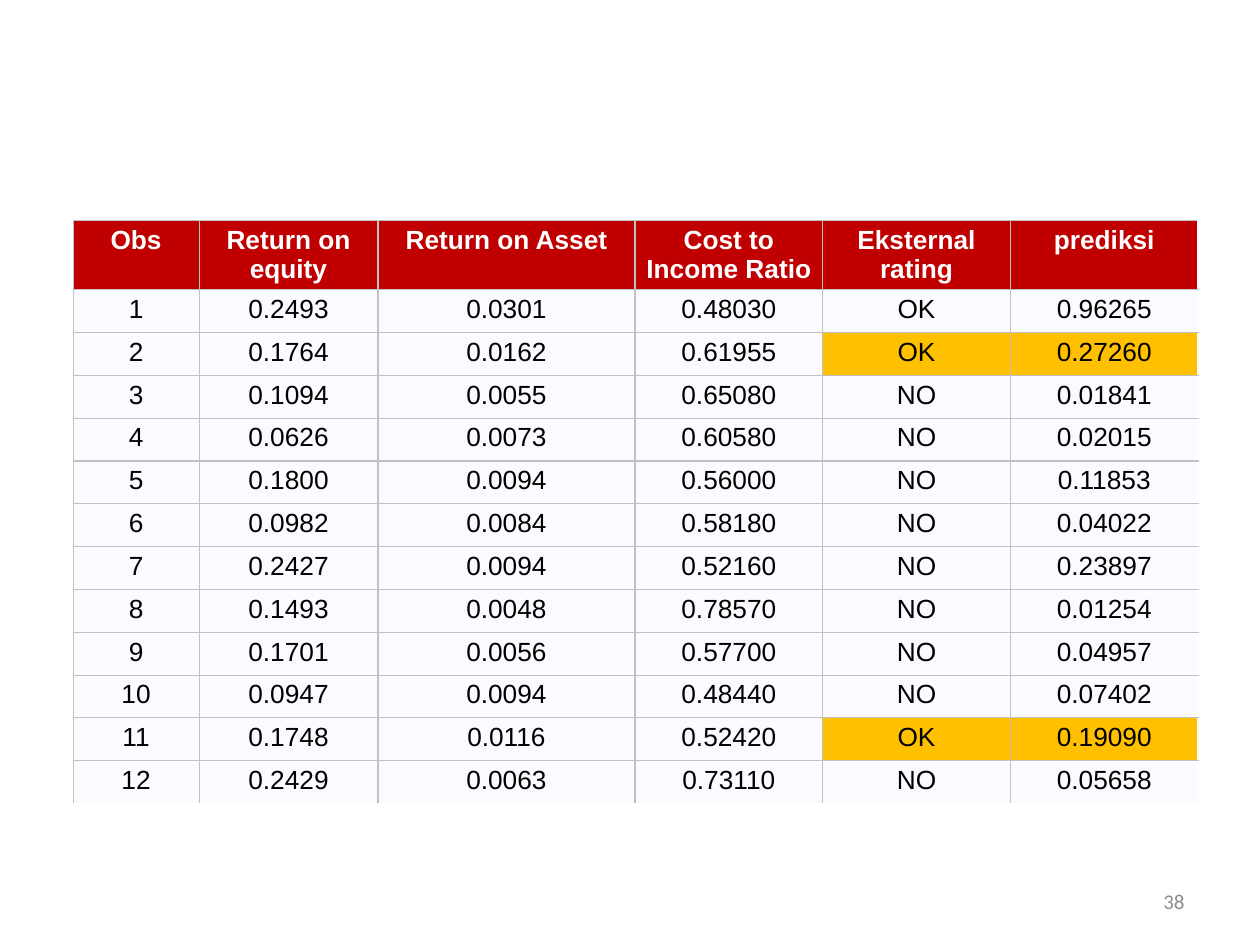
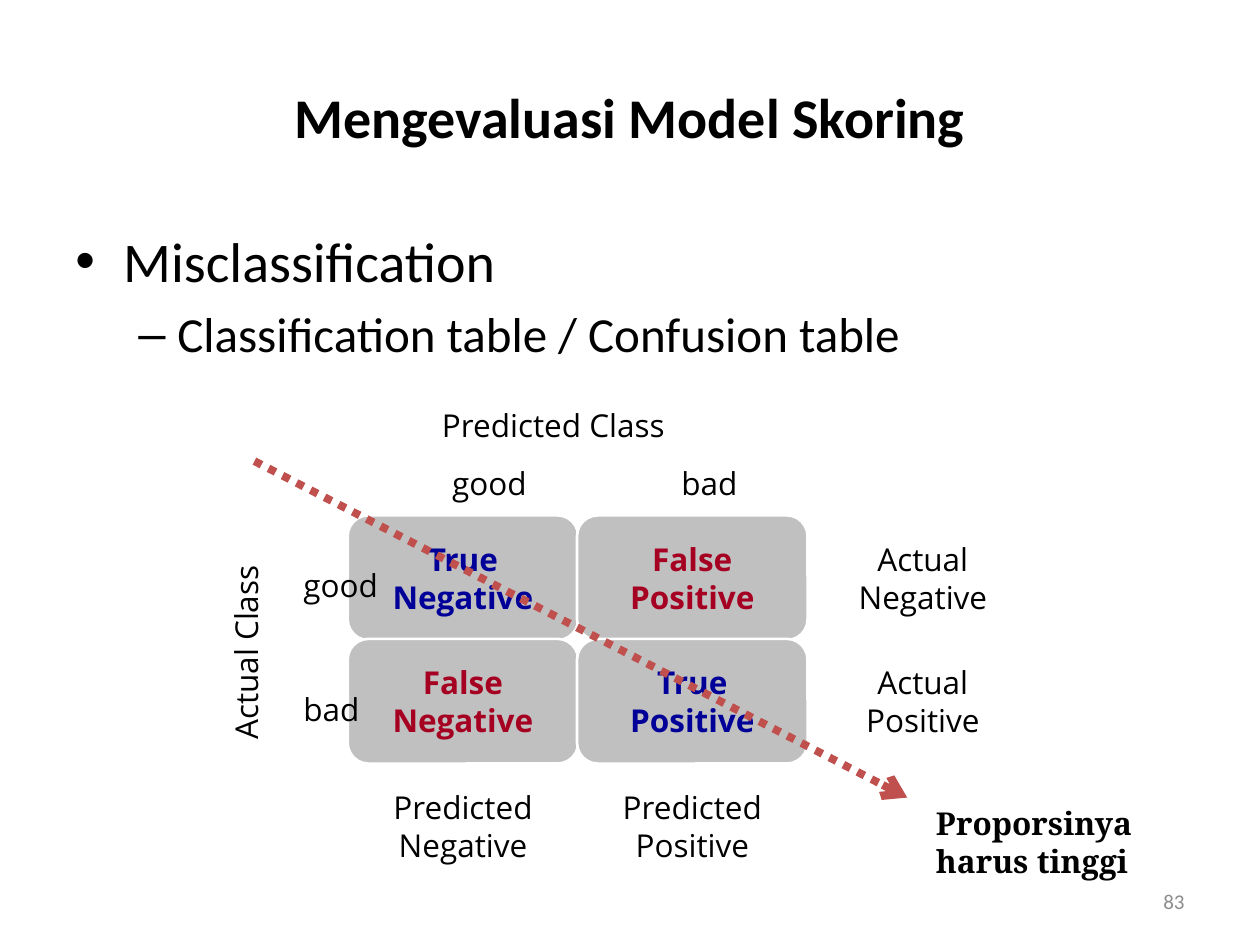
"""Builds two slides on judging a credit scoring model."""
from itertools import product

from lxml import etree
from pptx import Presentation
from pptx import util as u
from pptx.dml.color import RGBColor
from pptx.enum import dml, shapes, text
from pptx.oxml import ns

BLACK = RGBColor(0, 0, 0)
WHITE = RGBColor(255, 255, 255)
RED = RGBColor(0xC0, 0, 0)
PALE = RGBColor(0xFA, 0xFB, 0xFE)
GOLD = RGBColor(0xFF, 0xC0, 0)
EDGE = RGBColor(0xC1, 0xC1, 0xC1)
GREY = RGBColor(0xC0, 0xC0, 0xC0)
DIM = RGBColor(0x8C, 0x8C, 0x8C)
BLUE = RGBColor(0, 0, 0x99)
WINE = RGBColor(0xA5, 0, 0x21)
BRICK = RGBColor(0xC0, 0x50, 0x4D)
LEFT, MID, RIGHT = text.PP_ALIGN.LEFT, text.PP_ALIGN.CENTER, text.PP_ALIGN.RIGHT


def sub(node, tag, **attrs):
    return etree.SubElement(node, ns.qn(tag), **attrs)


class Deck:
    def __init__(self):
        self.prs = Presentation()
        self.prs.slide_width, self.prs.slide_height = u.Inches(10), u.Inches(7.5)

    def page(self, num):
        self.slide = self.prs.slides.add_slide(self.prs.slide_layouts[6])
        self.label(str(num), 7.17, 6.95, 2.33, 0.4, size=12, color=DIM,
                   font="Calibri", align=RIGHT, center=True)

    def style(self, par, size, color, font, bold, align):
        par.alignment = align
        for run in par.runs:
            run.font.size, run.font.name, run.font.bold = u.Pt(size), font, bold
            run.font.color.rgb = color

    def put(self, shape, words, size=18, color=BLACK, font="Open Sans", bold=False,
            align=LEFT, center=False, wrap=True, grow=False):
        frame = shape.text_frame
        frame.text = words
        frame.word_wrap = wrap
        frame.vertical_anchor = text.MSO_ANCHOR.MIDDLE if center else text.MSO_ANCHOR.TOP
        fit = text.MSO_AUTO_SIZE
        frame.auto_size = fit.SHAPE_TO_FIT_TEXT if grow else fit.NONE
        for par in frame.paragraphs:
            self.style(par, size, color, font, bold, align)
        return shape

    def label(self, words, x, y, w, h, **look):
        box = self.slide.shapes.add_textbox(*map(u.Inches, (x, y, w, h)))
        return self.put(box, words, **look)

    def tag(self, words, x, y, w):
        return self.label(words, x, y, w, 0.4, wrap=False, grow=True)

    def title(self, words):
        self.label(words, 0.5, 0.3, 9, 1.25, size=32, font="Calibri", bold=True,
                   align=MID, center=True)

    def body(self, items):
        box = self.label("\n".join(item[0] for item in items), 0.5, 1.75, 9, 4.95)
        for par, (words, size, mark, left, hang) in zip(box.text_frame.paragraphs, items):
            self.style(par, size, BLACK, "Calibri", False, LEFT)
            par.space_before = u.Pt(size * 0.2)
            props = par._p.get_or_add_pPr()
            props.set("marL", str(u.Inches(left)))
            props.set("indent", str(-u.Inches(hang)))
            sub(props, "a:buFont", typeface="Arial")
            sub(props, "a:buChar", char=mark)

    def tile(self, words, x, y, w, h, color):
        kind = shapes.MSO_SHAPE.ROUNDED_RECTANGLE
        tile = self.slide.shapes.add_shape(kind, *map(u.Inches, (x, y, w, h)))
        tile.shadow.inherit = False
        tile.fill.solid()
        tile.fill.fore_color.rgb = GREY
        tile.line.color.rgb = WHITE
        tile.line.width = u.Pt(1.5)
        self.put(tile, words, color=color, bold=True, align=MID, center=True, wrap=False)

    def arrow(self, *ends):
        line = self.slide.shapes.add_connector(
            shapes.MSO_CONNECTOR.STRAIGHT, *map(u.Inches, ends))
        line.line.color.rgb = BRICK
        line.line.width = u.Pt(4.5)
        line.line.dash_style = dml.MSO_LINE.ROUND_DOT
        props = line._element.spPr
        sub(props.find(ns.qn("a:ln")), "a:tailEnd", type="arrow")
        sub(props, "a:effectLst")

    def edges(self, cell, sides):
        props = cell._tc.get_or_add_tcPr()
        for side in sides:
            line = sub(props, "a:ln" + side, w=str(u.Pt(0.75)))
            sub(sub(line, "a:solidFill"), "a:srgbClr", val=str(EDGE))

    def table(self, rows, x, y, widths, heights, marked):
        size = len(rows), len(widths)
        grid = self.slide.shapes.add_table(
            *size, *map(u.Inches, (x, y, sum(widths), sum(heights)))).table
        grid.first_row = grid.horz_banding = False
        for col, width in zip(grid.columns, widths):
            col.width = u.Inches(width)
        for row, height in zip(grid.rows, heights):
            row.height = u.Inches(height)
        for r, c in product(*map(range, size)):
            cell = grid.cell(r, c)
            head = r == 0
            cell.text_frame.text = rows[r][c]
            cell.margin_left = cell.margin_right = u.Inches(0.04)
            cell.margin_top = cell.margin_bottom = u.Inches(0.04)
            self.style(cell.text_frame.paragraphs[0], 15, WHITE if head else BLACK,
                       "Arial", head, MID)
            right = "R" if c < size[1] - 1 else ""
            low = "B" if r < size[0] - 1 else ""
            self.edges(cell, "L" + right + "T" + low)
            cell.fill.solid()
            gold = r in marked and c >= 4
            cell.fill.fore_color.rgb = RED if head else GOLD if gold else PALE


HEADS = ["Obs", "Return on equity", "Return on Asset", "Cost to Income Ratio",
         "Eksternal rating", "prediksi"]
BANKS = """0.2493 0.0301 0.48030 OK 0.96265
0.1764 0.0162 0.61955 OK 0.27260
0.1094 0.0055 0.65080 NO 0.01841
0.0626 0.0073 0.60580 NO 0.02015
0.1800 0.0094 0.56000 NO 0.11853
0.0982 0.0084 0.58180 NO 0.04022
0.2427 0.0094 0.52160 NO 0.23897
0.1493 0.0048 0.78570 NO 0.01254
0.1701 0.0056 0.57700 NO 0.04957
0.0947 0.0094 0.48440 NO 0.07402
0.1748 0.0116 0.52420 OK 0.19090
0.2429 0.0063 0.73110 NO 0.05658"""

deck = Deck()
deck.page(38)
rows = [[str(n), *line.split()] for n, line in enumerate(BANKS.splitlines(), 1)]
deck.table([HEADS] + rows, 0.58, 1.75, [1, 1.42, 2.04] + [1.49] * 3,
           [0.55] + [0.34] * len(rows), marked=(2, 11))

deck.page(83)
deck.title("Mengevaluasi Model Skoring")
deck.body([("Misclassification", 32, "•", 0.38, 0.38),
           ("Classification table / Confusion table", 28, "–", 0.81, 0.31)])

LEFTS, TOPS = (2.76, 4.58, 6.41), (4.09, 5.07, 6.06)
WIDE, HIGH = 1.83, 0.99
SIGNS = ("Negative", "Positive")
for r, c in product(range(2), repeat=2):
    word, color = ("True", BLUE) if r == c else ("False", WINE)
    deck.tile(f"{word}\n{SIGNS[c]}", LEFTS[c], TOPS[r], WIDE, HIGH, color)
for i, sign in enumerate(SIGNS):
    for word, x, y in (("Actual", LEFTS[2], TOPS[i]), ("Predicted", LEFTS[i], TOPS[2])):
        deck.label(f"{word}\n{sign}", x, y, WIDE, HIGH, align=MID, center=True, wrap=False)

deck.tag("Predicted Class", 3.41, 3.17, 2.13)
deck.tag("Actual Class", 1.08, 4.9, 1.74).rotation = 270
for word, width, x, y in (("good", 0.82, 3.49, 4.44), ("bad", 0.67, 5.31, 5.43)):
    deck.tag(word, 2.31, y, width)
    deck.tag(word, x, 3.63, width)
deck.arrow(2.02, 3.66, 7.2, 6.33)
note = deck.label("Proporsinya harus tinggi", 7.33, 6.33, 2.21, 0.7,
                  font="Noto Serif", bold=True, grow=True)
note.text_frame.paragraphs[0].space_before = u.Pt(9)

deck.prs.save("out.pptx")
